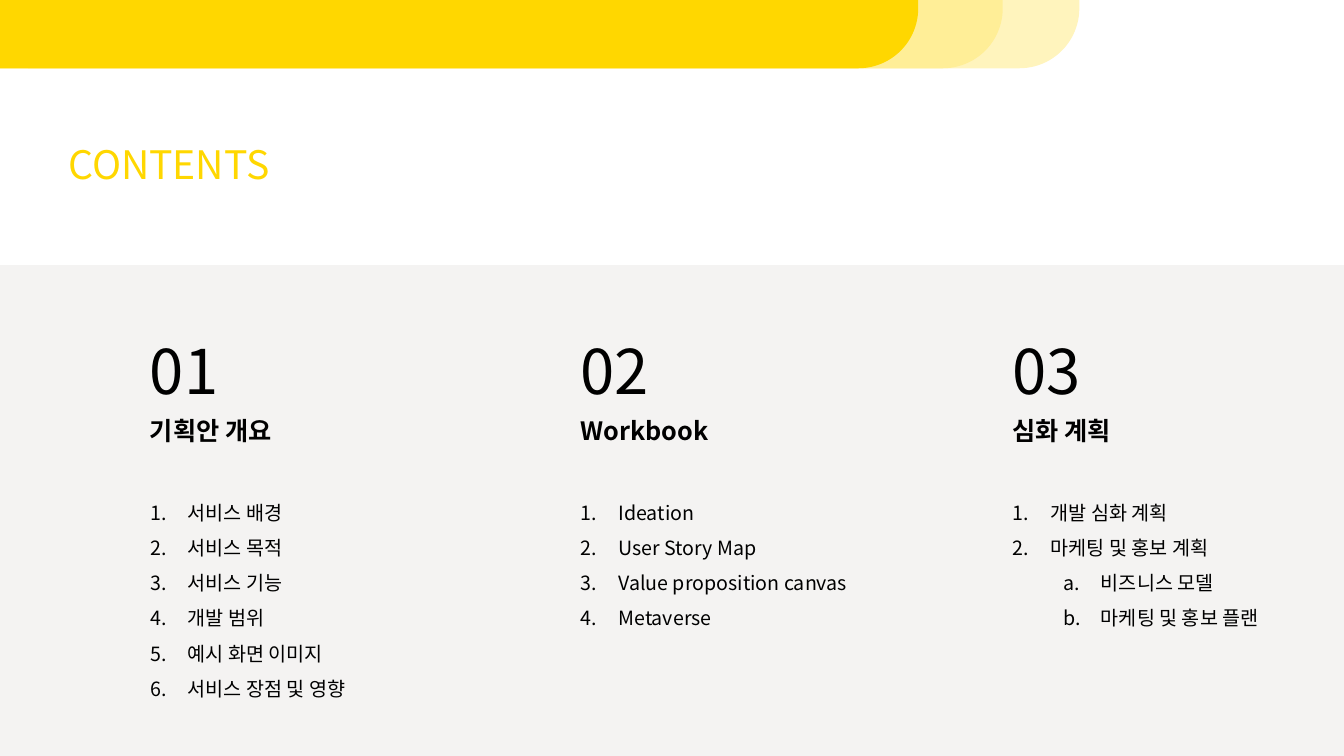
from dataclasses import dataclass

from pptx import Presentation
from pptx.dml.color import RGBColor
from pptx.enum.shapes import MSO_SHAPE as Preset
from pptx.enum.text import MSO_ANCHOR as Anchor, MSO_AUTO_SIZE as AutoSize, PP_ALIGN as Align
from pptx.oxml.ns import qn
from pptx.util import Cm, Pt

COLORS = {
    "yellow": "FFD700",
    "mid_yellow": "FFEE97",
    "pale_yellow": "FFF4BD",
    "grey": "F4F3F2",
    "black": "000000",
}
FONT = "Noto Sans CJK KR"
SLIDE_WIDTH, SLIDE_HEIGHT = 33.87, 19.05
PANEL_TOP = 6.68
INDENT, SUB_INDENT = 0.95, 2.22


@dataclass
class Band:
    left: float
    color: str


@dataclass
class Section:
    left: float
    number: str
    heading: str
    widths: tuple[float, float, float]  # number, heading, list
    list_index: int  # placeholder that holds the list
    items: list[tuple[str, int]]  # text and level


BANDS = [Band(0.71, "pale_yellow"), Band(-1.22, "mid_yellow"), Band(-3.35, "yellow")]

SECTIONS = [
    Section(3.53, "01", "기획안 개요", (2.49, 4.22, 6.53), 1, [
        ("서비스 배경", 0), ("서비스 목적", 0), ("서비스 기능", 0),
        ("개발 범위", 0), ("예시 화면 이미지", 0), ("서비스 장점 및 영향", 0)]),
    Section(14.38, "02", "Workbook", (3.05, 4.65, 8.81), 2, [
        ("Ideation", 0), ("User Story Map", 0),
        ("Value proposition canvas", 0), ("Metaverse", 0)]),
    Section(25.27, "03", "심화 계획", (3.05, 4.22, 7.24), 3, [
        ("개발 심화 계획", 0), ("마케팅 및 홍보 계획", 0),
        ("비즈니스 모델", 1), ("마케팅 및 홍보 플랜", 1)]),
]


def add_block(slide, preset: Preset, left: float, top: float, width: float,
              height: float, color: str):
    shape = slide.shapes.add_shape(preset, Cm(left), Cm(top), Cm(width), Cm(height))
    shape.shadow.inherit = False
    shape.fill.solid()
    shape.fill.fore_color.rgb = RGBColor.from_string(COLORS[color])
    shape.line.fill.background()
    return shape


def place(shape, left: float, top: float, width: float, height: float) -> None:
    """Position a text shape and bring it to the front."""
    shape.left, shape.top, shape.width, shape.height = Cm(left), Cm(top), Cm(width), Cm(height)
    frame = shape.text_frame
    frame.word_wrap = True
    frame.auto_size = AutoSize.SHAPE_TO_FIT_TEXT
    frame.vertical_anchor = Anchor.TOP
    shape.element.getparent().append(shape.element)


def write(paragraph, text: str, *, size: float, color: str = "black",
          bold: bool = False, spacing: float = 1.0) -> None:
    paragraph.alignment = Align.LEFT
    paragraph.line_spacing = spacing
    paragraph.space_before = Pt(0)
    run = paragraph.add_run()
    run.text = text
    run.font.size = Pt(size)
    run.font.bold = bold
    run.font.color.rgb = RGBColor.from_string(COLORS[color])
    run.font.name = FONT
    latin = run.font._element.find(qn("a:latin"))
    east_asian = latin.makeelement(qn("a:ea"), {"typeface": FONT})
    latin.addnext(east_asian)


def number_paragraph(paragraph, level: int) -> None:
    """Give a paragraph automatic numbering: digits, or letters one level down."""
    paragraph.level = level
    properties = paragraph._p.get_or_add_pPr()
    properties.set("marL", str(Cm(SUB_INDENT if level else INDENT)))
    properties.set("indent", str(-Cm(INDENT)))
    scheme = "alphaLcPeriod" if level else "arabicPeriod"
    for tag, name, value in (("a:buFont", "typeface", FONT), ("a:buAutoNum", "type", scheme)):
        properties.append(properties.makeelement(qn(tag), {name: value}))


def add_section(slide, section: Section) -> None:
    number_width, heading_width, list_width = section.widths
    for text, top, width, height, size, bold in (
            (section.number, 8.26, number_width, 2.13, 44, False),
            (section.heading, 10.34, heading_width, 1.02, 18, True)):
        label = slide.shapes.add_textbox(0, 0, 0, 0)
        place(label, section.left, top, width, height)
        write(label.text_frame.paragraphs[0], text, size=size, bold=bold)

    body = slide.placeholders[section.list_index]
    place(body, section.left, 12.19, list_width, 0.25 + 0.89 * len(section.items))
    frame = body.text_frame
    for position, (text, level) in enumerate(section.items):
        paragraph = frame.add_paragraph() if position else frame.paragraphs[0]
        write(paragraph, text, size=14, spacing=1.5)
        number_paragraph(paragraph, level)


def main() -> None:
    presentation = Presentation()
    presentation.slide_width, presentation.slide_height = Cm(SLIDE_WIDTH), Cm(SLIDE_HEIGHT)
    slide = presentation.slides.add_slide(presentation.slide_layouts[4])

    # Unused fourth body placeholder
    spare = slide.placeholders[4].element
    spare.getparent().remove(spare)

    # Grey panel and the layered header bands
    add_block(slide, Preset.RECTANGLE, 0, PANEL_TOP, SLIDE_WIDTH,
              SLIDE_HEIGHT - PANEL_TOP, "grey")
    for band in BANDS:
        shape = add_block(slide, Preset.ROUND_2_DIAG_RECTANGLE, band.left, -1.3,
                          26.49, 3.02, band.color)
        shape.adjustments[0], shape.adjustments[1] = 0.5, 0
        shape.rotation = 180

    # Title
    title = slide.shapes.title
    place(title, 1.47, 3.4, 7.8, 1.45)
    write(title.text_frame.paragraphs[0], "CONTENTS", size=28, color="yellow")

    # Three columns of contents
    for section in SECTIONS:
        add_section(slide, section)

    presentation.save("out.pptx")


if __name__ == "__main__":
    main()
